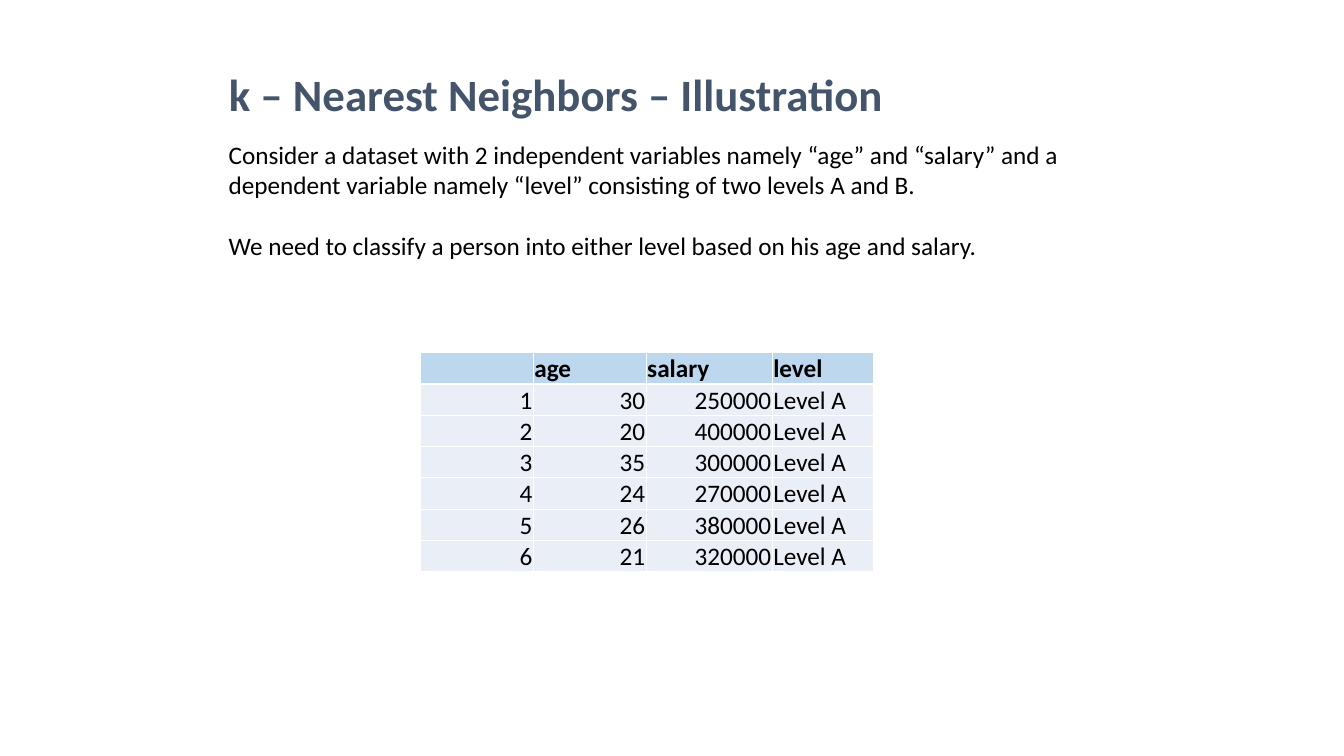
from lxml import etree
from pptx import Presentation
from pptx import util as u
from pptx.dml.color import RGBColor
from pptx.enum import text
from pptx.oxml.ns import qn

COLOURS = {
    "title": "44546A",
    "ink": "000000",
    "header": "BDD7EE",
    "row": "EAEFF7",
    "border": "FFFFFF",
}
PEOPLE = [
    (30, 250000),
    (20, 400000),
    (35, 300000),
    (24, 270000),
    (26, 380000),
    (21, 320000),
]


class Slide:
    font = "Calibri"
    body_size = 18
    title_size = 32

    def __init__(self, deck):
        self.page = deck.slides.add_slide(deck.slide_layouts[5])

    def add_span(self, para, words, size, colour="ink", bold=False):
        span = para.add_run()
        span.text = words
        span.font.name = self.font
        span.font.size = u.Pt(size)
        span.font.bold = bold
        span.font.color.rgb = RGBColor.from_string(COLOURS[colour])

    def place(self, box, left, top, width, height):
        box.left, box.top = u.Inches(left), u.Inches(top)
        box.width, box.height = u.Inches(width), u.Inches(height)

    def title(self, words, *area):
        box = self.page.shapes.title
        self.place(box, *area)
        frame = box.text_frame
        frame.auto_size = text.MSO_AUTO_SIZE.NONE
        frame.vertical_anchor = text.MSO_ANCHOR.MIDDLE
        para = frame.paragraphs[0]
        para.alignment = text.PP_ALIGN.JUSTIFY
        self.add_span(para, words, self.title_size, "title", True)

    def paragraphs(self, lines, gap, *area):
        box = self.page.shapes.add_textbox(*map(u.Inches, area))
        frame = box.text_frame
        frame.word_wrap = True
        for index, line in enumerate(lines):
            para = frame.add_paragraph() if index else frame.paragraphs[0]
            if index:
                para.space_before = u.Pt(gap)
            self.add_span(para, line, self.body_size)

    def border(self, cell):
        properties = cell._tc.get_or_add_tcPr()
        for side in ("a:lnL", "a:lnR", "a:lnT", "a:lnB"):
            line = etree.SubElement(properties, qn(side), w=str(u.Pt(1)))
            fill = etree.SubElement(line, qn("a:solidFill"))
            etree.SubElement(fill, qn("a:srgbClr"), val=COLOURS["border"])

    def cell(self, cell, words, header, right, anchor):
        cell.margin_left = cell.margin_right = cell.margin_top = u.Inches(0.01)
        cell.margin_bottom = 0
        cell.vertical_anchor = anchor
        self.border(cell)
        cell.fill.solid()
        shade = COLOURS["header" if header else "row"]
        cell.fill.fore_color.rgb = RGBColor.from_string(shade)
        para = cell.text_frame.paragraphs[0]
        para.alignment = text.PP_ALIGN.RIGHT if right else text.PP_ALIGN.LEFT
        if words:
            self.add_span(para, words, self.body_size, bold=header)

    def table(self, rows, widths, left, top, row_height):
        grid = self.page.shapes.add_table(
            len(rows), len(widths), u.Inches(left), u.Inches(top),
            u.Inches(sum(widths)), u.Inches(row_height * len(rows)),
        ).table
        for column, width in zip(grid.columns, widths):
            column.width = u.Inches(width)
        for r, values in enumerate(rows):
            grid.rows[r].height = u.Inches(row_height)
            for c, value in enumerate(values):
                middle = r > 0 and (c == 0 or (r == 1 and c < 3))
                anchor = text.MSO_ANCHOR.MIDDLE if middle else text.MSO_ANCHOR.BOTTOM
                self.cell(grid.cell(r, c), str(value), r == 0,
                          isinstance(value, int), anchor)


def main():
    deck = Presentation()
    deck.slide_width, deck.slide_height = u.Inches(13.33), u.Inches(7.5)
    slide = Slide(deck)
    slide.title("k – Nearest Neighbors – Illustration", 2.17, 0.3, 9, 1.25)
    slide.paragraphs(
        [
            "Consider a dataset with 2 independent variables namely “age” and "
            "“salary” and a dependent variable namely “level” consisting of "
            "two levels A and B.",
            "We need to classify a person into either level based on his age "
            "and salary.",
        ],
        22, 2.17, 1.33, 8.83, 1.92,
    )
    rows = [("", "age", "salary", "level")]
    rows += [(n, age, salary, "Level A")
             for n, (age, salary) in enumerate(PEOPLE, 1)]
    slide.table(rows, [1.12, 1.12, 1.25, 1], 4.17, 3.5, 0.31)
    deck.save("out.pptx")


if __name__ == "__main__":
    main()
